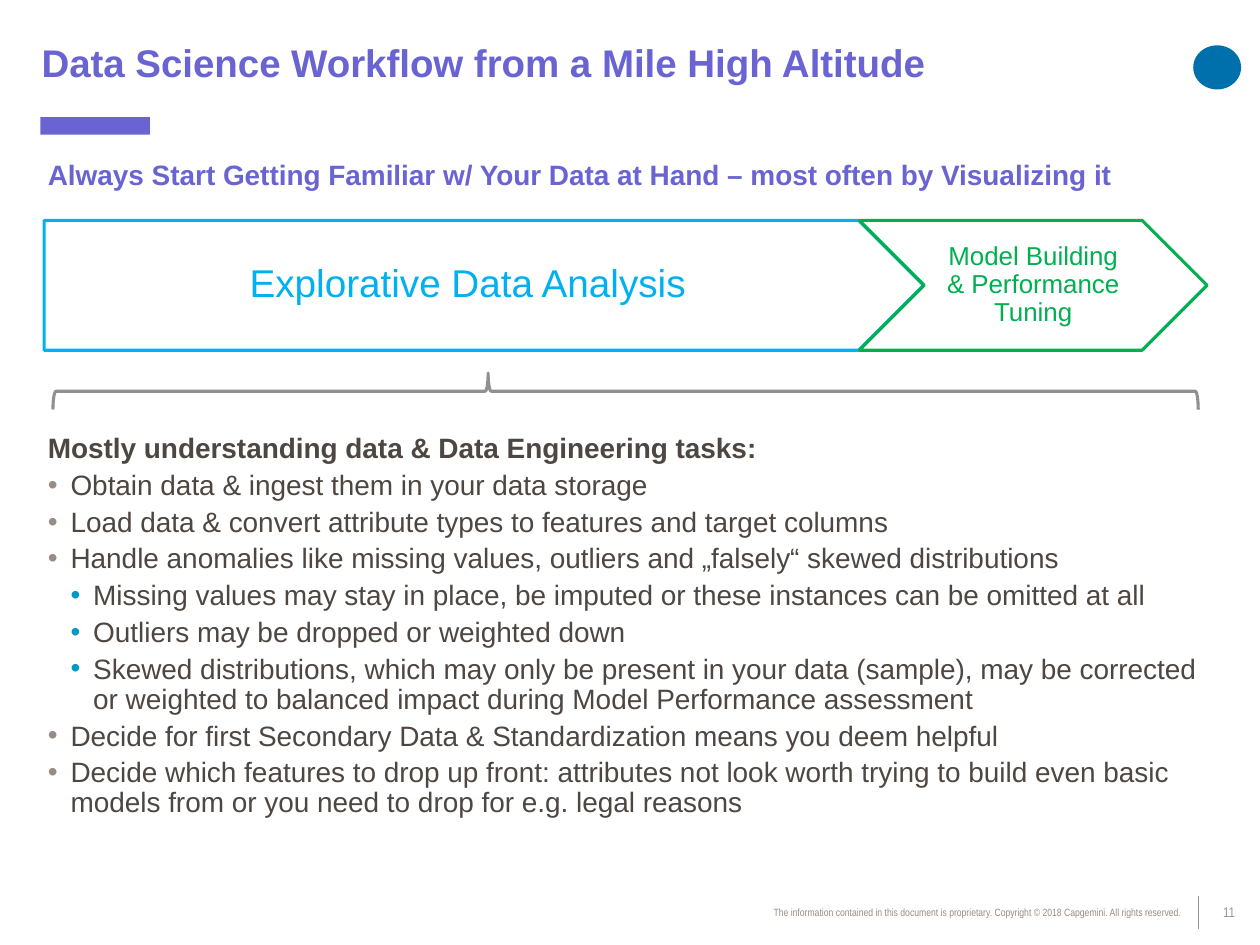
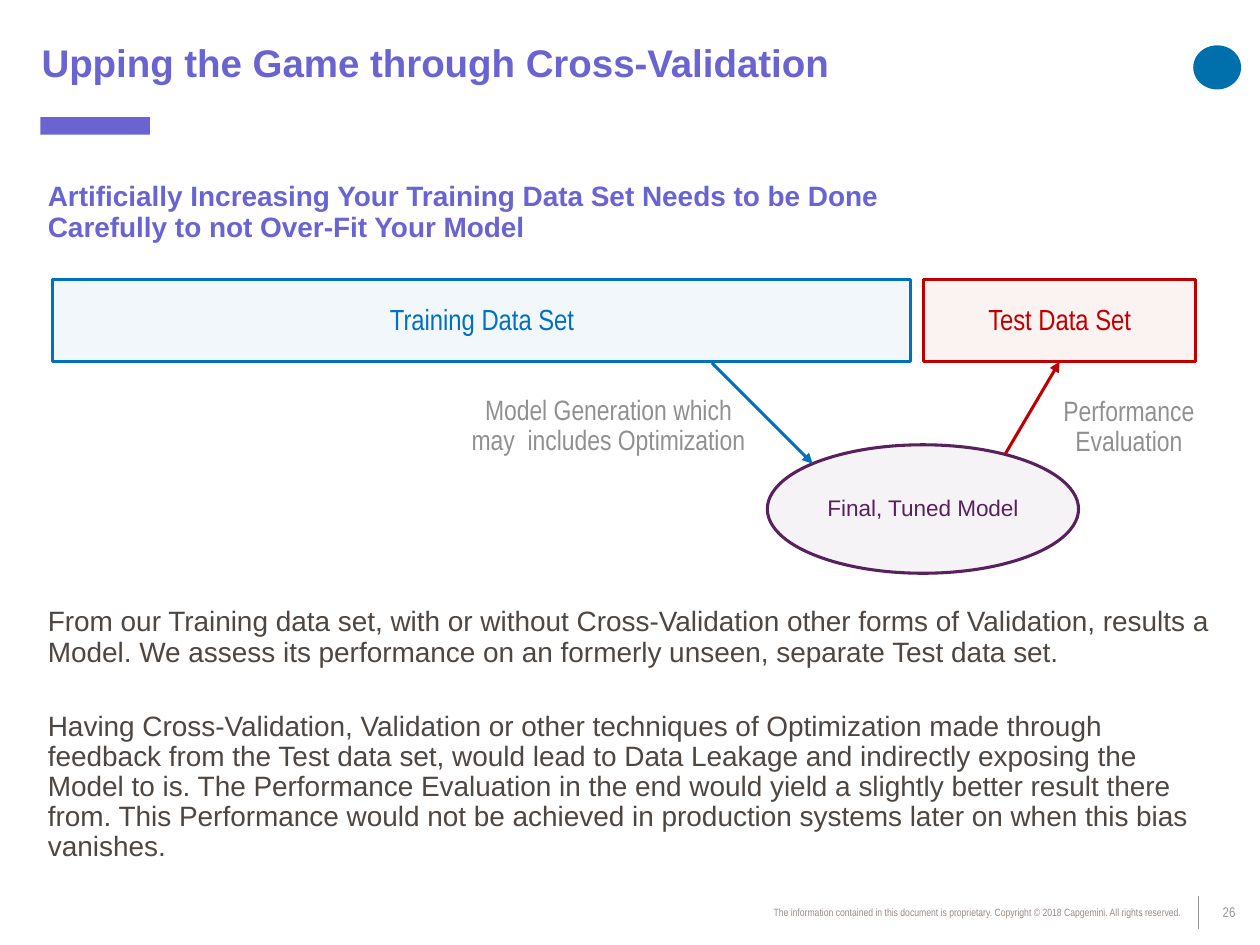
from dataclasses import dataclass

from lxml.etree import SubElement
from pptx import Presentation
from pptx.dml.color import RGBColor
from pptx.enum.shapes import MSO_CONNECTOR, MSO_SHAPE
from pptx.enum.text import MSO_ANCHOR, MSO_AUTO_SIZE, PP_ALIGN
from pptx.oxml.ns import qn
from pptx.util import Emu, Pt

EMU_PER_PX = 9144
TWO_CONTENT = 3
COPYRIGHT = ("The information contained in this document is proprietary. "
             "Copyright © 2018 Capgemini. All rights reserved.")


@dataclass(frozen=True)
class Theme:
    accent: str = "6964D1"
    text: str = "4E4641"
    warm_grey: str = "998C85"
    rule_grey: str = "969696"
    label_grey: str = "909090"
    sub_bullet: str = "0098C7"
    emblem: str = "0070AD"
    white: str = "FFFFFF"
    explore: str = "00B0F0"
    build: str = "00B050"
    training: str = "0070C0"
    test: str = "C00000"
    model: str = "58215D"
    sans: str = "Arial"
    narrow: str = "Arial Narrow"
    title_size: float = 22
    body_size: float = 16
    stage_size: float = 22.1
    next_stage_size: float = 14.8
    data_set_size: float = 16.6
    model_size: float = 12.9
    number_size: float = 8
    copyright_size: float = 6
    outline: float = 1.75
    hairline: float = 0.75
    spacing: float = 0.9
    footer_spacing: float = 0.85
    after: float = 3.7
    indent: int = 18
    opacity: int = 5


THEME = Theme()


def px(length):
    return Emu(length * EMU_PER_PX)


def rgb(color):
    return RGBColor.from_string(color)


def place(item, box):
    item.left, item.top, item.width, item.height = map(px, box)


def style(paragraph, size, color, font=THEME.sans, bold=False,
          align=PP_ALIGN.LEFT, spacing=THEME.spacing, after=0):
    paragraph.alignment = align
    paragraph.line_spacing = spacing
    paragraph.space_before = Pt(0)
    paragraph.space_after = Pt(after)
    paragraph.font.name = font
    paragraph.font.size = Pt(size)
    paragraph.font.bold = bold
    paragraph.font.color.rgb = rgb(color)


def set_bullet(paragraph, color=None, margin=0, hanging=0):
    properties = paragraph._p.get_or_add_pPr()
    properties.set("marL", str(px(margin)))
    properties.set("indent", str(px(-hanging)))
    if color is None:
        SubElement(properties, qn("a:buNone"))
    else:
        bullet_color = SubElement(properties, qn("a:buClr"))
        SubElement(bullet_color, qn("a:srgbClr"), val=color)
        SubElement(properties, qn("a:buChar"), char="•")


def prepare_frame(holder, anchor):
    frame = holder.text_frame
    frame.word_wrap = True
    frame.auto_size = MSO_AUTO_SIZE.NONE
    frame.vertical_anchor = anchor
    return frame


def add_paragraph(frame, index, text):
    paragraph = frame.paragraphs[0] if index == 0 else frame.add_paragraph()
    paragraph.text = text
    return paragraph


def add_label(slide, box, text, size, color, align=PP_ALIGN.CENTER,
              anchor=MSO_ANCHOR.MIDDLE, spacing=THEME.spacing):
    label = slide.shapes.add_textbox(*map(px, box))
    paragraph = add_paragraph(prepare_frame(label, anchor), 0, text)
    style(paragraph, size, color, THEME.narrow, align=align, spacing=spacing)


def add_plain(slide, kind, box, color):
    plain = slide.shapes.add_shape(kind, *map(px, box))
    plain.shadow.inherit = False
    plain.fill.solid()
    plain.fill.fore_color.rgb = rgb(color)
    plain.line.fill.background()
    return plain


def add_outlined(slide, kind, box, text, size, color, tint, font=THEME.sans):
    outlined = add_plain(slide, kind, box, tint)
    tint_color = outlined._element.spPr.find(
        qn("a:solidFill")).find(qn("a:srgbClr"))
    SubElement(tint_color, qn("a:alpha"), val=str(THEME.opacity * 1000))
    outlined.line.color.rgb = rgb(color)
    outlined.line.width = Pt(THEME.outline)
    paragraph = add_paragraph(
        prepare_frame(outlined, MSO_ANCHOR.MIDDLE), 0, text)
    style(paragraph, size, color, font, align=PP_ALIGN.CENTER)
    return outlined


def add_line(slide, start, end, color, width, arrow=False):
    line = slide.shapes.add_connector(
        MSO_CONNECTOR.STRAIGHT, *map(px, (*start, *end)))
    line.line.color.rgb = rgb(color)
    line.line.width = Pt(width)
    if arrow:
        SubElement(line.line._get_or_add_ln(), qn("a:tailEnd"),
                   type="triangle")
    SubElement(line._element.spPr, qn("a:effectLst"))
    return line


def add_brace(slide, box):
    brace = slide.shapes.add_shape(MSO_SHAPE.RIGHT_BRACE, *map(px, box))
    brace.rotation = 270
    brace.adjustments[0] = 0.083
    brace.adjustments[1] = 0.38
    brace.shadow.inherit = False
    brace.fill.background()
    brace.line.color.rgb = rgb(THEME.label_grey)
    brace.line.width = Pt(THEME.outline)


def set_heading(title, text):
    place(title, (0, -3, 1000, 110))
    frame = prepare_frame(title, MSO_ANCHOR.MIDDLE)
    frame.margin_left, frame.margin_right = px(33), px(18)
    frame.margin_top = frame.margin_bottom = px(4)
    style(add_paragraph(frame, 0, text), THEME.title_size, THEME.accent,
          bold=True)


def set_subtitle(subtitle, box, text):
    place(subtitle, box)
    paragraph = add_paragraph(prepare_frame(subtitle, MSO_ANCHOR.TOP), 0, text)
    set_bullet(paragraph)
    style(paragraph, THEME.body_size, THEME.accent, bold=True,
          after=THEME.after)


def set_task_list(body, box, heading, tasks):
    place(body, box)
    frame = prepare_frame(body, MSO_ANCHOR.TOP)
    intro = add_paragraph(frame, 0, heading)
    set_bullet(intro, None, THEME.indent, THEME.indent)
    style(intro, THEME.body_size, THEME.text, bold=True, after=THEME.after)
    bullet_colors = (THEME.warm_grey, THEME.sub_bullet)
    for index, (level, text) in enumerate(tasks, start=1):
        task = add_paragraph(frame, index, text)
        task.level = level
        set_bullet(task, bullet_colors[level], THEME.indent * (level + 1),
                   THEME.indent)
        style(task, THEME.body_size, THEME.text, after=THEME.after)


def set_prose(body, box, passages, gap):
    place(body, box)
    frame = prepare_frame(body, MSO_ANCHOR.BOTTOM)
    for index, text in enumerate(passages):
        passage = add_paragraph(frame, index, text)
        set_bullet(passage)
        last = index == len(passages) - 1
        style(passage, THEME.body_size, THEME.text,
              after=THEME.after if last else gap)


def start_slide(deck, heading, number):
    slide = deck.slides.add_slide(deck.slide_layouts[TWO_CONTENT])
    title, subtitle, body = slide.placeholders
    set_heading(title, heading)
    add_plain(slide, MSO_SHAPE.OVAL, (947, 36, 38, 35), THEME.emblem)
    add_plain(slide, MSO_SHAPE.RECTANGLE, (32, 93, 87, 14), THEME.accent)
    add_line(slide, (951, 711), (951, 737), THEME.rule_grey, THEME.hairline)
    add_label(slide, (951, 711, 49, 27), str(number), THEME.number_size,
              THEME.rule_grey, spacing=THEME.footer_spacing)
    add_label(slide, (449, 716, 498, 19), COPYRIGHT, THEME.copyright_size,
              THEME.warm_grey, PP_ALIGN.RIGHT, MSO_ANCHOR.TOP,
              THEME.footer_spacing)
    return slide, subtitle, body


def build_workflow(deck):
    slide, subtitle, body = start_slide(
        deck, "Data Science Workflow from a Mile High Altitude", 11)
    set_subtitle(subtitle, (28, 123, 945, 34),
                 "Always Start Getting Familiar w/ Your Data at Hand – "
                 "most often by Visualizing it")
    set_task_list(
        body, (28, 340, 945, 254),
        "Mostly understanding data & Data Engineering tasks:",
        [(0, "Obtain data & ingest them in your data storage"),
         (0, "Load data & convert attribute types to features and target "
             "columns"),
         (0, "Handle anomalies like missing values, outliers and „falsely“ "
             "skewed distributions"),
         (1, "Missing values may stay in place, be imputed or these "
             "instances can be omitted at all"),
         (1, "Outliers may be dropped or weighted down"),
         (1, "Skewed distributions, which may only be present in your data "
             "(sample), may be corrected or weighted to balanced impact "
             "during Model Performance assessment"),
         (0, "Decide for first Secondary Data & Standardization means you "
             "deem helpful"),
         (0, "Decide which features to drop up front: attributes not look "
             "worth trying to build even basic models from or you need to "
             "drop for e.g. legal reasons")])
    add_brace(slide, (482, -144, 29, 909))
    add_outlined(slide, MSO_SHAPE.PENTAGON, (35, 175, 698, 103),
                 "Explorative Data Analysis", THEME.stage_size,
                 THEME.explore, THEME.white)
    add_outlined(slide, MSO_SHAPE.CHEVRON, (682, 175, 276, 103),
                 "Model Building & Performance Tuning",
                 THEME.next_stage_size, THEME.build, THEME.white)


def build_cross_validation(deck):
    slide, subtitle, body = start_slide(
        deck, "Upping the Game through Cross-Validation", 26)
    set_subtitle(subtitle, (28, 140, 770, 46),
                 "Artificially Increasing Your Training Data Set Needs to be "
                 "Done Carefully to not Over-Fit Your Model")
    set_prose(
        body, (28, 513, 945, 177),
        ["From our Training data set, with or without Cross-Validation other "
         "forms of Validation, results a Model. We assess its performance on "
         "an formerly unseen, separate Test data set.",
         "Having Cross-Validation, Validation or other techniques of "
         "Optimization made through feedback from the Test data set, would "
         "lead to Data Leakage and indirectly exposing the Model to is. The "
         "Performance Evaluation in the end would yield a slightly better "
         "result there from. This Performance would not be achieved in "
         "production systems later on when this bias vanishes."],
        gap=25)
    add_outlined(slide, MSO_SHAPE.RECTANGLE, (42, 222, 681, 65),
                 "Training Data Set", THEME.data_set_size,
                 THEME.training, THEME.training, THEME.narrow)
    test_set = add_outlined(slide, MSO_SHAPE.RECTANGLE, (733, 222, 216, 65),
                            "Test Data Set", THEME.data_set_size,
                            THEME.test, THEME.test, THEME.narrow)
    add_outlined(slide, MSO_SHAPE.OVAL, (609, 353, 247, 102),
                 "Final, Tuned Model", THEME.model_size,
                 THEME.model, THEME.model)
    add_line(slide, (565, 288), (645, 368), THEME.training, THEME.outline,
             arrow=True)
    evaluation = add_line(slide, (798, 360), (841, 287), THEME.test,
                          THEME.outline, arrow=True)
    evaluation.end_connect(test_set, 2)
    add_label(slide, (356, 309, 254, 59),
              "Model Generation which may  includes Optimization",
              THEME.body_size, THEME.label_grey)
    add_label(slide, (769, 310, 254, 59), "Performance\nEvaluation",
              THEME.body_size, THEME.label_grey)


def main():
    deck = Presentation()
    deck.slide_width, deck.slide_height = px(1000), px(750)
    build_workflow(deck)
    build_cross_validation(deck)
    deck.save("out.pptx")


if __name__ == "__main__":
    main()
